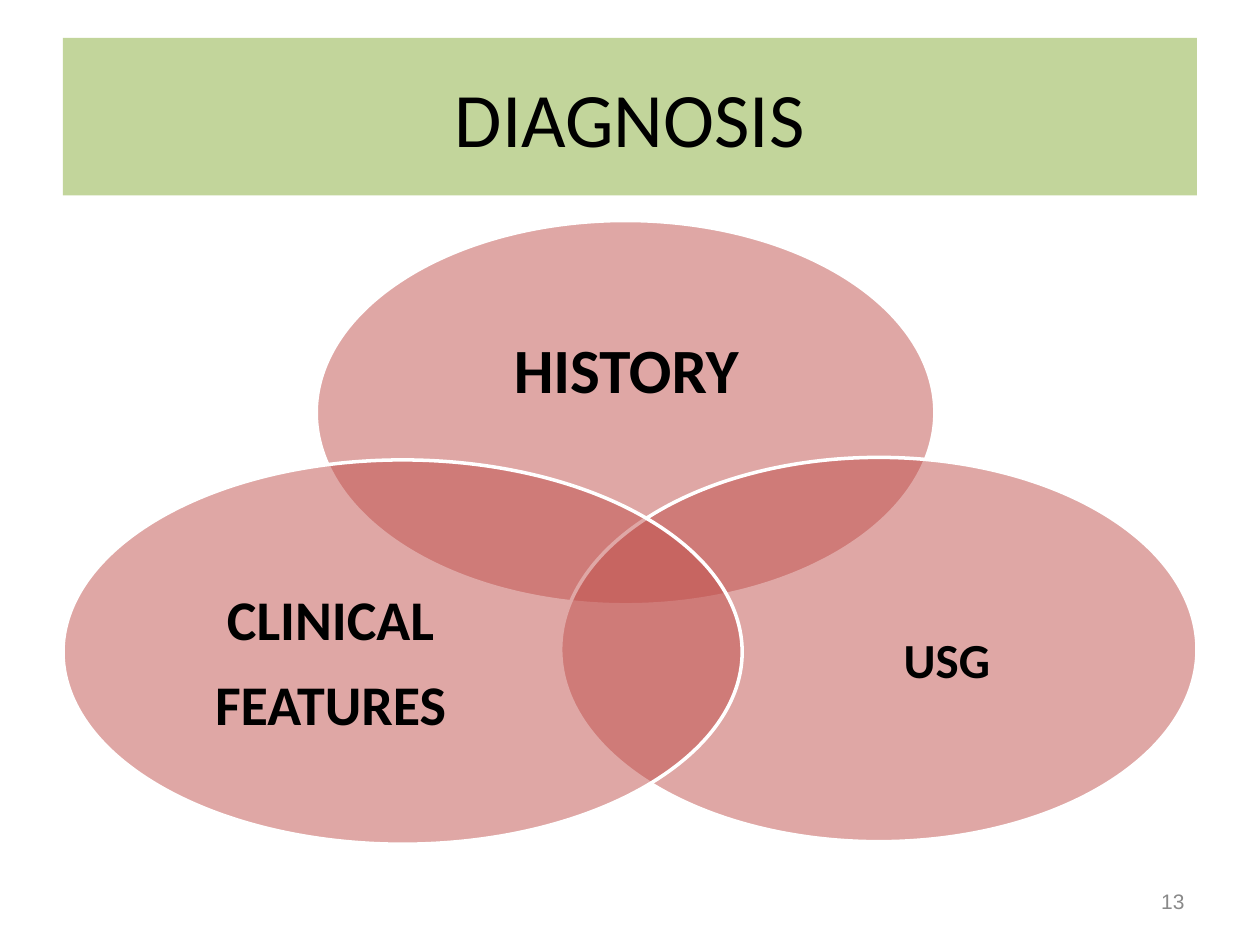
import pptx
import pptx.util
import pptx.dml.color
import pptx.enum.shapes
import pptx.enum.text
import pptx.oxml
import pptx.oxml.ns

RGBColor = pptx.dml.color.RGBColor
GREEN = RGBColor(0xC2, 0xD5, 0x9B)
RED = RGBColor(0xC0, 0x50, 0x4C)
WHITE = RGBColor(0xFF, 0xFF, 0xFF)
BLACK = RGBColor(0x00, 0x00, 0x00)
GREY = RGBColor(0x89, 0x89, 0x89)

SHAPE = pptx.enum.shapes.MSO_SHAPE
ALIGN = pptx.enum.text.PP_ALIGN
Pt = pptx.util.Pt

deck = pptx.Presentation()
deck.slide_width = pptx.util.Inches(10)
deck.slide_height = pptx.util.Inches(7.5)
page = deck.slides.add_slide(deck.slide_layouts[6])

# The page is a grid of 100 columns by 75 rows of square cells.
COLUMN = deck.slide_width / 100
ROW = deck.slide_height / 75


def place(left, top, width, height):
    """Turn grid cells into slide lengths."""
    return [int(cells * unit) for cells, unit in
            zip((left, top, width, height), (COLUMN, ROW, COLUMN, ROW))]


def write(box, lines, font, align=ALIGN.CENTER, spacing=None, margins=(1, 0.5)):
    """Fill a box with one paragraph per line, centred vertically."""
    frame = box.text_frame
    frame.word_wrap = True
    frame.vertical_anchor = pptx.enum.text.MSO_ANCHOR.MIDDLE
    frame.margin_left = frame.margin_right = int(margins[0] * COLUMN)
    frame.margin_top = frame.margin_bottom = int(margins[1] * ROW)
    for index, line in enumerate(lines):
        para = frame.paragraphs[0] if index == 0 else frame.add_paragraph()
        para.alignment = align
        for name, value in (spacing or {}).items():
            setattr(para, name, value)
        span = para.add_run()
        span.text = line
        span.font.color.rgb = font["color"]
        for name in ("name", "size", "bold"):
            setattr(span.font, name, font.get(name))


banner = page.shapes.add_shape(SHAPE.RECTANGLE, *place(5, 3, 90, 12.5))
banner.shadow.inherit = False
banner.fill.solid()
banner.fill.fore_color.rgb = GREEN
banner.line.fill.background()
write(banner, ["DIAGNOSIS"], {"name": "Calibri", "size": Pt(44), "color": BLACK})

# Ellipse cells, label cells, label lines, text size, space after
venn = [
    ((25.1, 17.5, 49.1, 30.5), (31.7, 22.8, 36, 13.7), ["HISTORY"], 36, 15.8),
    ((44.5, 36.3, 50.5, 30.5), (60, 44.2, 30.3, 16.8), ["USG"], 28, 12.2),
    ((5, 36.5, 53.9, 30.5), (10.1, 44.4, 32.3, 16.8), ["CLINICAL", "FEATURES"], 32, 14),
]
for ellipse_cells, label_cells, lines, size, space_after in venn:
    ellipse = page.shapes.add_shape(SHAPE.OVAL, *place(*ellipse_cells))
    ellipse.shadow.inherit = False
    ellipse.fill.solid()
    ellipse.fill.fore_color.rgb = RED
    color = ellipse.fill._xPr.find(".//" + pptx.oxml.ns.qn("a:srgbClr"))
    color.append(pptx.oxml.parse_xml(
        f'<a:alpha {pptx.oxml.ns.nsdecls("a")} val="50000"/>'))
    ellipse.line.color.rgb = WHITE
    ellipse.line.width = Pt(2)

    label = page.shapes.add_textbox(*place(*label_cells))
    write(label, lines,
          {"name": "Calibri", "size": Pt(size), "bold": True, "color": BLACK},
          spacing={"line_spacing": 0.9, "space_after": Pt(space_after)},
          margins=(0, 0))

page_number = page.shapes.add_textbox(*place(71.7, 69.5, 23.3, 4))
write(page_number, ["13"], {"name": "Arial", "size": Pt(12), "color": GREY},
      align=ALIGN.RIGHT)

deck.save("out.pptx")
